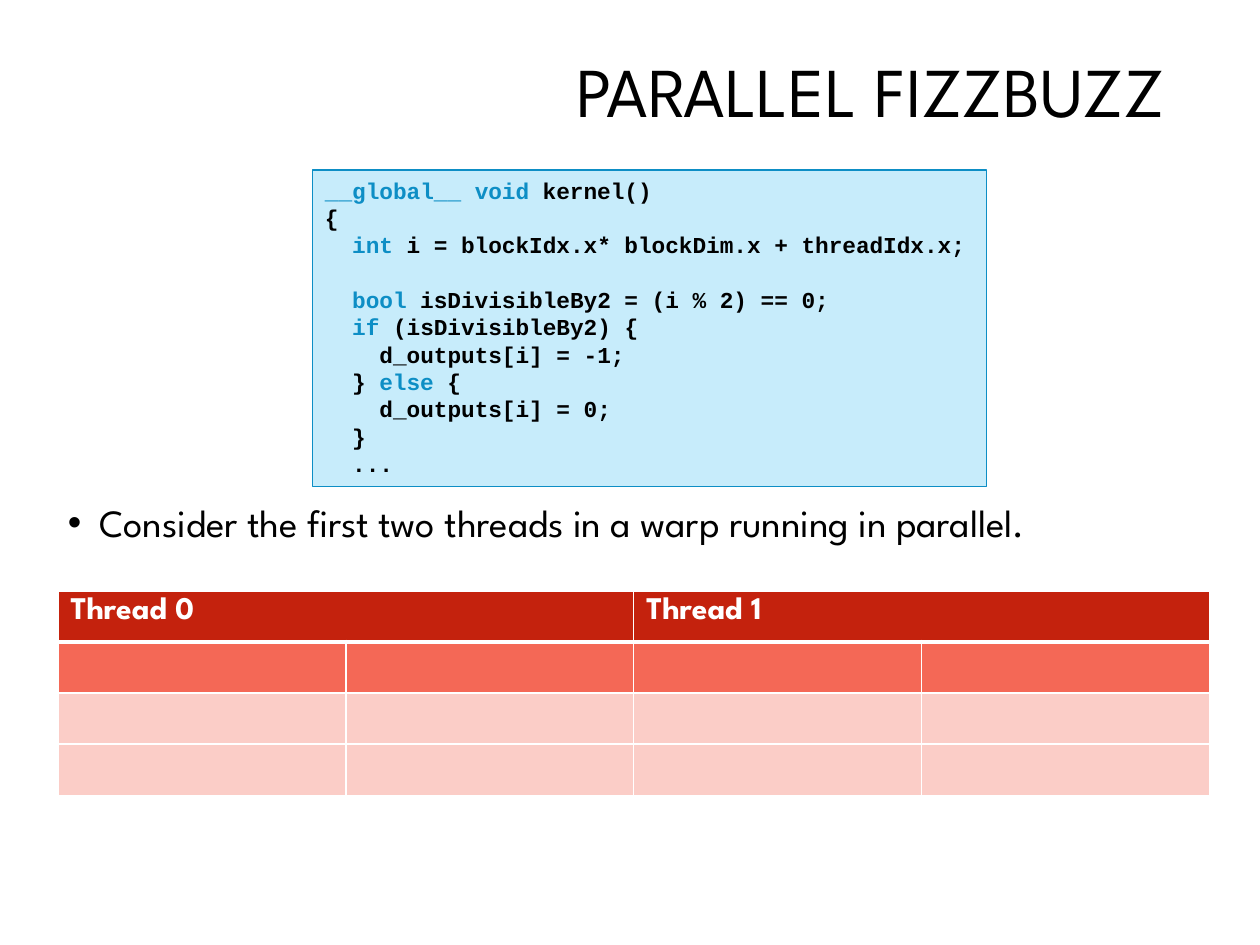
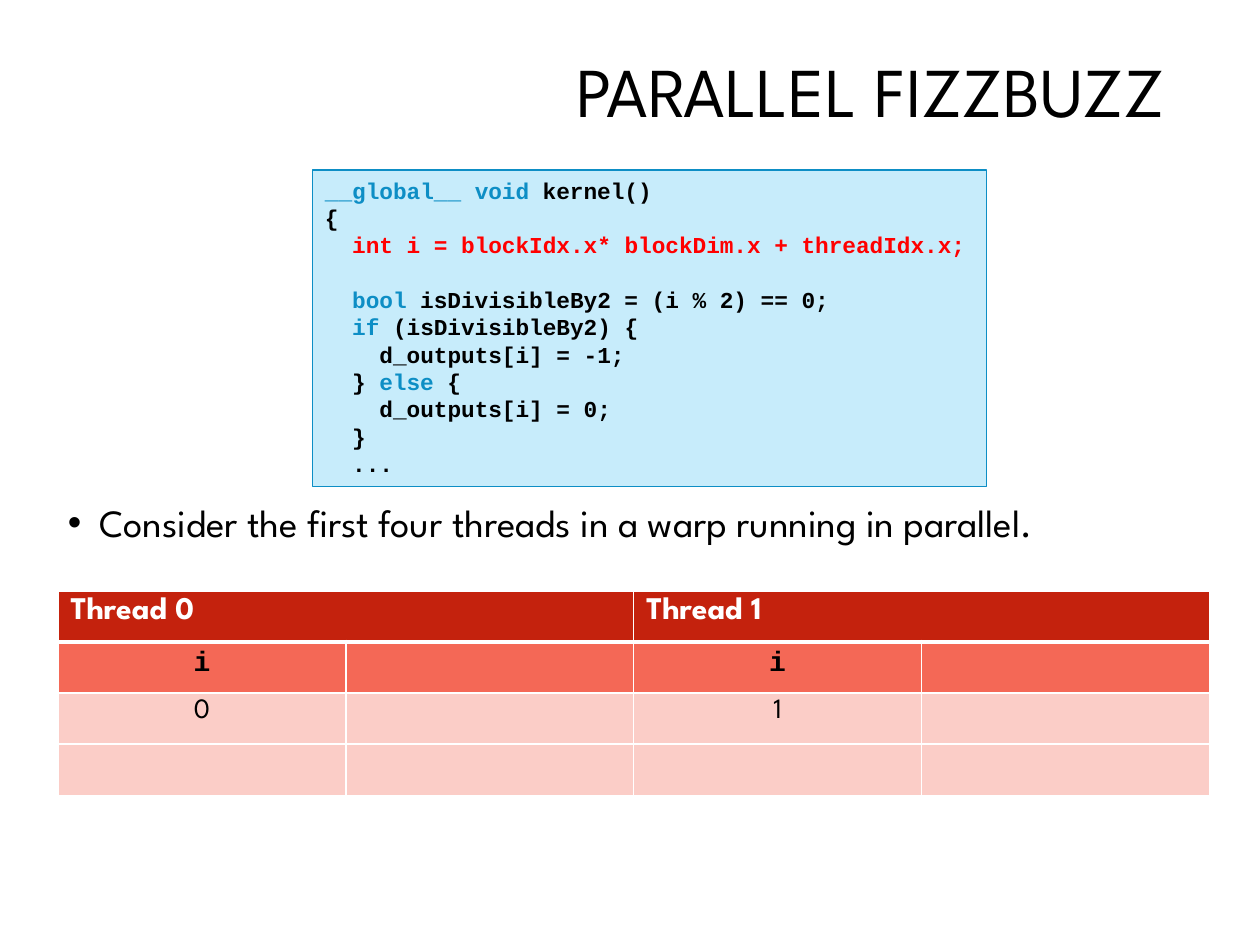
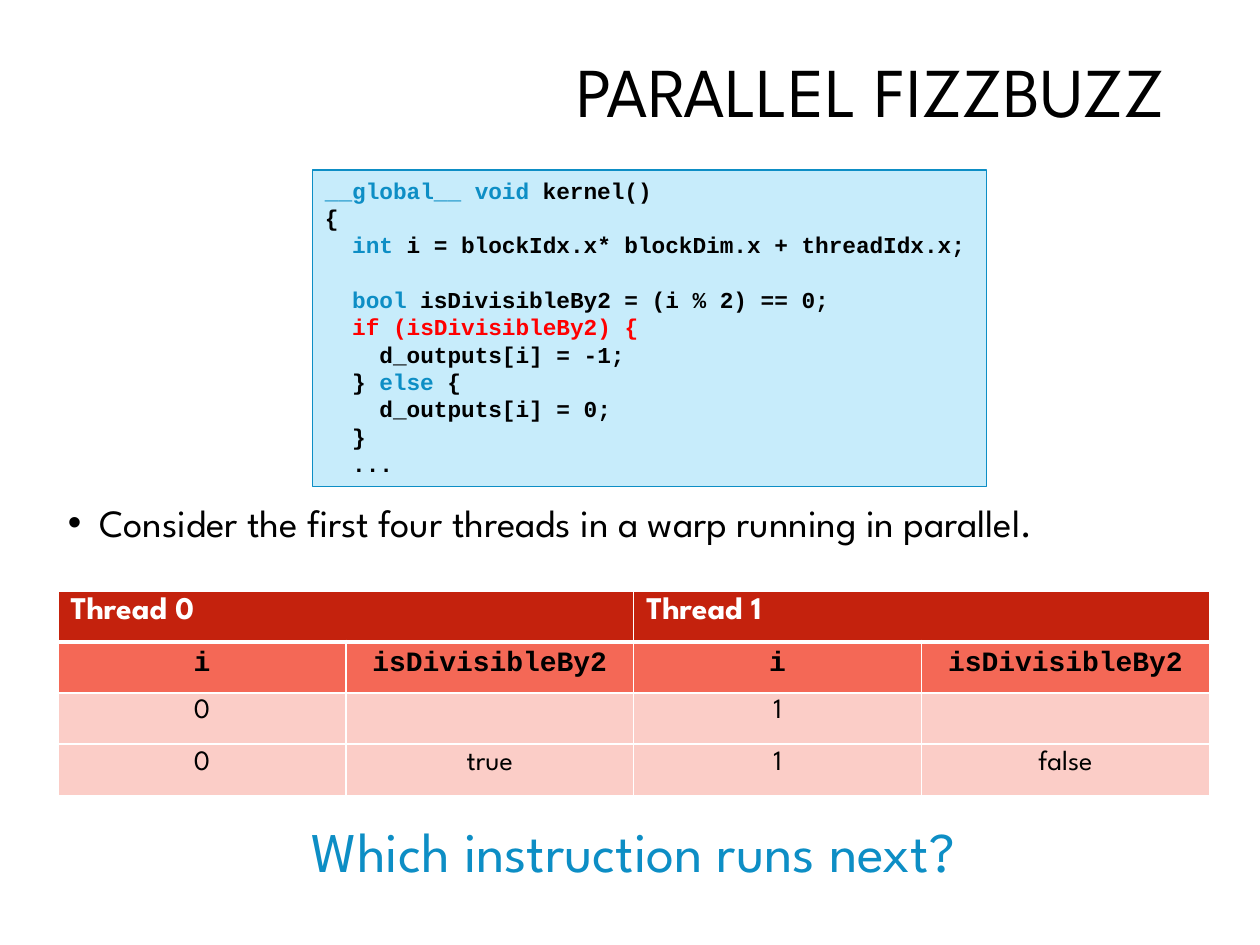
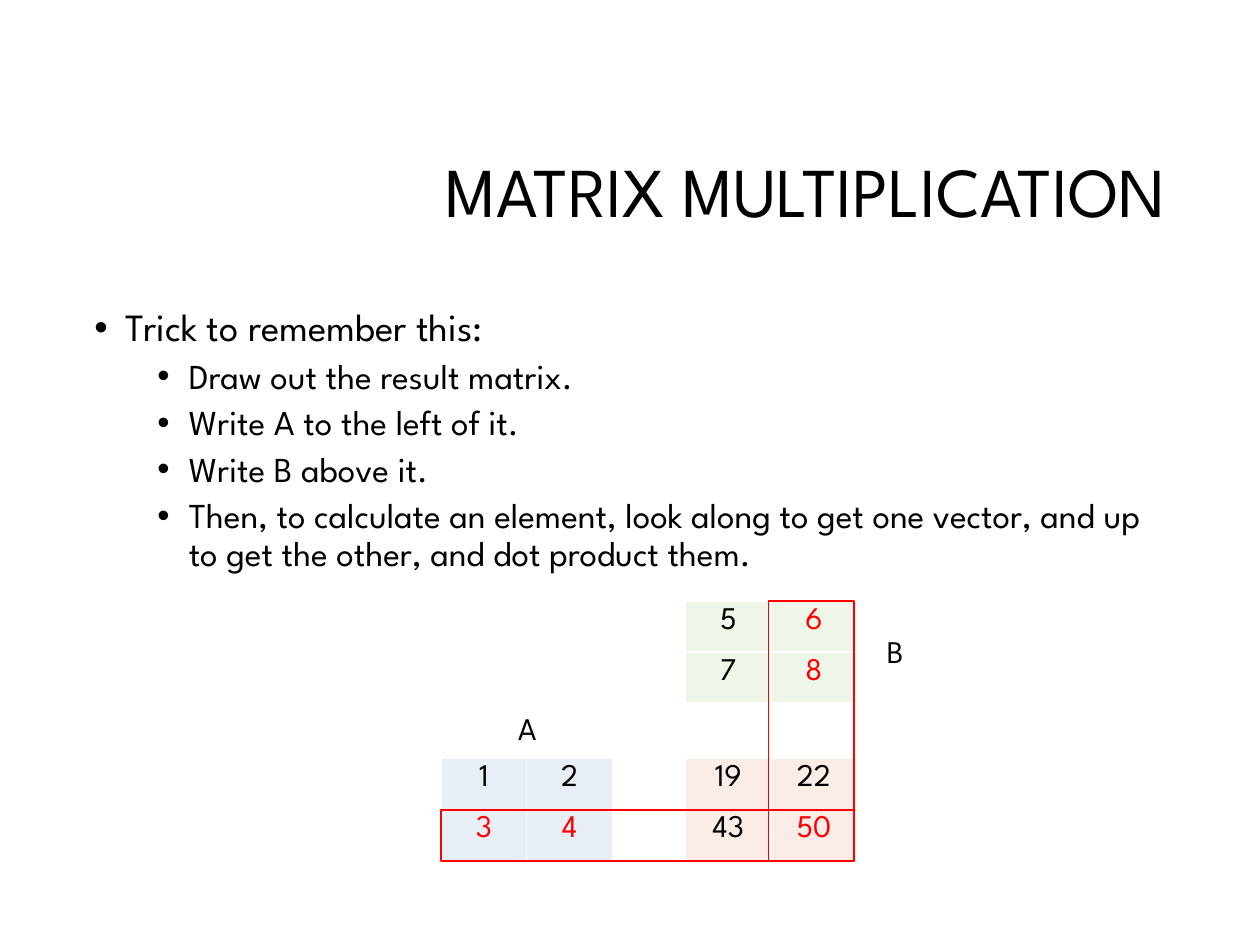
import pptx
import pptx.util
import pptx.dml.color
import pptx.enum.shapes
import pptx.enum.text
import pptx.oxml
import pptx.oxml.ns

Pt = pptx.util.Pt
RGB = pptx.dml.color.RGBColor.from_string
ALIGN = pptx.enum.text.PP_ALIGN
ANCHOR = pptx.enum.text.MSO_ANCHOR
RECTANGLE = pptx.enum.shapes.MSO_SHAPE.RECTANGLE
NAMESPACE = pptx.oxml.ns.nsdecls("a")

COLORS = {
    "text": "000000", "white": "FFFFFF", "accent": "0D8EC5", "mark": "FF0000",
    "code": "C7ECFB", "header": "C4220D", "names": "F46856", "values": "FBCDC7",
    "result": "FBECE7", "left": "E7EEF5", "above": "EEF6E9",
}
FONT = "League Spartan"
CODE_FONT = "Courier New"
ROW_HEIGHT = 29.2


def add_span(para, text, size, color="text", font=FONT, bold=False):
    span = para.add_run()
    span.text = text
    span.font.size = Pt(size)
    span.font.name = font
    span.font.bold = bold
    span.font.color.rgb = RGB(COLORS[color])


def add_grid(page, left, top, column_width, row_fills, columns):
    """Add an empty table with white cell borders and one fill per row."""
    rows = len(row_fills)
    table = page.shapes.add_table(
        rows, columns, Pt(left), Pt(top),
        Pt(column_width * columns), Pt(ROW_HEIGHT * rows)).table
    table.first_row = table.horz_banding = False
    for column in table.columns:
        column.width = Pt(column_width)
    for row, fill in zip(table.rows, row_fills):
        row.height = Pt(ROW_HEIGHT)
        for cell in row.cells:
            properties = cell._tc.get_or_add_tcPr()
            for side in "LRTB":
                thick = (fill, side) in (("header", "B"), ("names", "T"))
                properties.append(pptx.oxml.parse_xml(
                    f'<a:ln{side} {NAMESPACE} w="{Pt(3 if thick else 1)}"><a:solidFill>'
                    f'<a:srgbClr val="{COLORS["white"]}"/></a:solidFill></a:ln{side}>'))
            cell.fill.solid()
            cell.fill.fore_color.rgb = RGB(COLORS[fill])
    return table


deck = pptx.Presentation()
deck.slide_width = Pt(720)
deck.slide_height = Pt(540)

# Titles and bullets of every slide: (level, text) per bullet
FIZZBUZZ = ("PARALLEL FIZZBUZZ", 3.6, (31.7, 284.4, 658.8, 45.4))
MATRIX = ("MATRIX MULTIPLICATION", 60.5, (46.8, 172.8, 626.4, 170.6))
TWO_THREADS = [(0, "Consider the first two threads in a warp running in parallel.")]
FOUR_THREADS = [(0, "Consider the first four threads in a warp running in parallel.")]
TRICK = [
    (0, "Trick to remember this:"),
    (1, "Draw out the result matrix."),
    (1, "Write A to the left of it."),
    (1, "Write B above it."),
    (1, "Then, to calculate an element, look along to get one vector, "
        "and up to get the other, and dot product them."),
]
BULLET_STYLES = [(22, 10, 18), (20, 5, 54)]  # size, space before, indent

pages = []
for (title, title_top, body_place), bullets in [
        (FIZZBUZZ, TWO_THREADS), (FIZZBUZZ, FOUR_THREADS),
        (FIZZBUZZ, FOUR_THREADS), (MATRIX, TRICK)]:
    page = deck.slides.add_slide(deck.slide_layouts[6])
    pages.append(page)

    frame = page.shapes.add_textbox(Pt(171.4), Pt(title_top), Pt(501.8), Pt(101.5)).text_frame
    frame.word_wrap = True
    frame.vertical_anchor = ANCHOR.MIDDLE
    para = frame.paragraphs[0]
    para.alignment = ALIGN.RIGHT
    para.line_spacing = 0.9
    add_span(para, title, 40)

    frame = page.shapes.add_textbox(*map(Pt, body_place)).text_frame
    frame.word_wrap = True
    for number, (level, text) in enumerate(bullets):
        size, space, indent = BULLET_STYLES[level]
        para = frame.add_paragraph() if number else frame.paragraphs[0]
        para.level = level
        para.line_spacing = 0.9
        para.space_before = Pt(space)
        properties = para._p.get_or_add_pPr()
        properties.set("marL", str(Pt(indent)))
        properties.set("indent", str(Pt(-18)))
        properties.append(pptx.oxml.parse_xml(f'<a:buFont {NAMESPACE} typeface="Arial"/>'))
        properties.append(pptx.oxml.parse_xml(f'<a:buChar {NAMESPACE} char="•"/>'))
        add_span(para, text, size)

# Kernel code: text before the keyword, keyword, text after it
KERNEL = [
    ("", "__global__ void ", "kernel()"),
    ("{", "", ""),
    ("  ", "int ", "i = blockIdx.x* blockDim.x + threadIdx.x;"),
    ("  ", "bool", " isDivisibleBy2 = (i % 2) == 0;"),
    ("  ", "if", " (isDivisibleBy2) {"),
    ("    d_outputs[i] = -1;", "", ""),
    ("  } ", "else", " {"),
    ("    d_outputs[i] = 0;", "", ""),
    ("  }", "", ""),
    ("  ...", "", ""),
]
INT_LINE, BOOL_LINE, IF_LINE = 2, 3, 4
THREAD_STEPS = [  # running line, then the table below the header
    (None, [[""] * 4, [""] * 4, [""] * 4]),
    (INT_LINE, [["i", "", "i", ""], ["0", "", "1", ""], [""] * 4]),
    (IF_LINE, [["i", "isDivisibleBy2"] * 2, ["0", "", "1", ""], ["0", "true", "1", "false"]]),
]
for page, (running_line, states) in zip(pages, THREAD_STEPS):
    code_box = page.shapes.add_shape(RECTANGLE, Pt(178.6), Pt(97.2), Pt(385.2), Pt(180.7))
    code_box.shadow.inherit = False
    code_box.fill.solid()
    code_box.fill.fore_color.rgb = RGB(COLORS["code"])
    code_box.line.color.rgb = RGB(COLORS["accent"])
    code_box.line.width = Pt(0.75)
    frame = code_box.text_frame
    frame.word_wrap = True
    frame.vertical_anchor = ANCHOR.TOP
    for number, parts in enumerate(KERNEL):
        para = frame.add_paragraph() if number else frame.paragraphs[0]
        para.alignment = ALIGN.LEFT
        para.line_spacing = Pt(15.63)
        if number == BOOL_LINE:
            para.space_before = Pt(15.63)
        for part, color in zip(parts, ("text", "accent", "text")):
            if part:
                add_span(para, part, 13, "mark" if number == running_line else color,
                         CODE_FONT, True)

    threads = add_grid(page, 33.1, 337.7, 164.5, ["header", "names", "values", "values"], 4)
    for thread in range(2):
        header = threads.cell(0, 2 * thread)
        header.merge(threads.cell(0, 2 * thread + 1))
        add_span(header.text_frame.paragraphs[0], f"Thread {thread}", 18, "white", bold=True)
    for row, texts in enumerate(states, start=1):
        for column, text in enumerate(texts):
            if text:
                para = threads.cell(row, column).text_frame.paragraphs[0]
                para.alignment = ALIGN.CENTER
                add_span(para, text, 16, font=CODE_FONT if row == 1 else FONT, bold=row == 1)

# Matrices, with the row and column behind the last element marked
matrix_page = pages[3]
for left, top, fill, values, marked in [
        (391.7, 433.4, "result", [[19, 22], [43, 50]], {50}),
        (252, 433.4, "left", [[1, 2], [3, 4]], {3, 4}),
        (391.7, 343.4, "above", [[5, 6], [7, 8]], {6, 8})]:
    matrix = add_grid(matrix_page, left, top, 49, [fill] * 2, 2)
    for row, numbers in enumerate(values):
        for column, value in enumerate(numbers):
            para = matrix.cell(row, column).text_frame.paragraphs[0]
            para.alignment = ALIGN.CENTER
            add_span(para, str(value), 18, "mark" if value in marked else "text")

for place in [(252, 463, 236.2, 29.2), (439.2, 343.4, 49, 148.8)]:
    outline = matrix_page.shapes.add_shape(RECTANGLE, *map(Pt, place))
    outline.shadow.inherit = False
    outline.fill.background()
    outline.line.color.rgb = RGB(COLORS["mark"])
    outline.line.width = Pt(1)

for page, place, text, size, color in [
        (pages[2], (33.1, 463, 658, 46), "Which instruction runs next?", 32, "accent"),
        (matrix_page, (278.6, 401.8, 45.4, 29), "A", 18, "text"),
        (matrix_page, (488.9, 357.8, 45.4, 29), "B", 18, "text")]:
    frame = page.shapes.add_textbox(*map(Pt, place)).text_frame
    frame.word_wrap = True
    para = frame.paragraphs[0]
    para.alignment = ALIGN.CENTER
    add_span(para, text, size, color)

deck.save("out.pptx")
